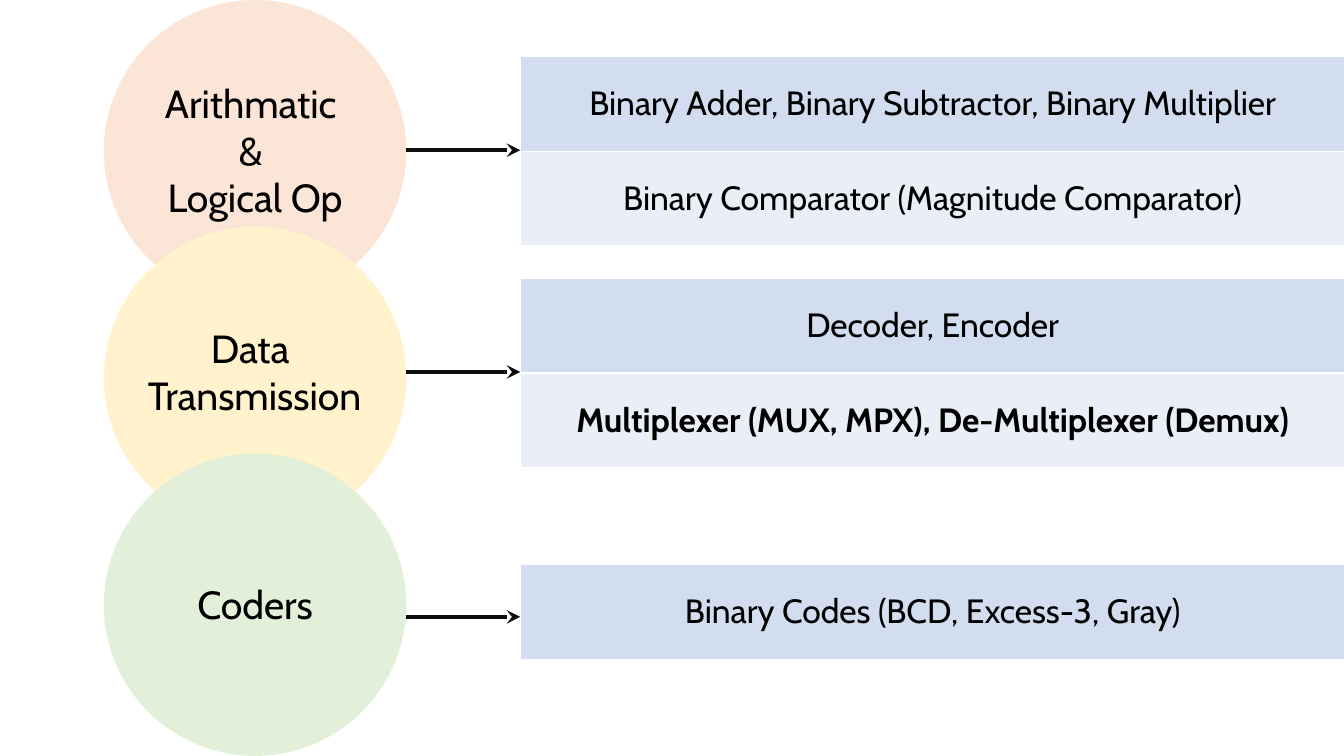
import pptx
import pptx.util
import pptx.dml.color
import pptx.enum.shapes
import pptx.enum.text
import pptx.oxml.ns
from lxml import etree

PX = 9144
FONT = "Cabin"
RGB = pptx.dml.color.RGBColor
BLACK = RGB(0x00, 0x00, 0x00)
ARROW = RGB(0x0D, 0x0D, 0x0D)
PEACH = RGB(0xFB, 0xE5, 0xD6)
CREAM = RGB(0xFF, 0xF2, 0xCC)
MINT = RGB(0xE2, 0xF0, 0xD9)
BANDS = [RGB(0xD2, 0xDE, 0xEF), RGB(0xEA, 0xEF, 0xF7)]

CIRCLE_X, DIAMETER, CIRCLE_STEP = 103, 300, 225
TABLE_X, TABLE_W, ROW_H = 516, 818, 94
MUX = "Multiplexer (MUX, MPX), De-Multiplexer (Demux)"

SECTIONS = [
    (PEACH, ["Arithmatic ", "& ", "Logical Op"], (148, 74, 210, 151), 149, 56,
     ["Binary Adder, Binary Subtractor, Binary Multiplier",
      "Binary Comparator (Magnitude Comparator)"]),
    (CREAM, ["Data ", "Transmission"], (132, 317, 241, 104), 369, 276,
     ["Decoder, Encoder", MUX]),
    (MINT, ["Coders"], (182, 571, 142, 57), 612, 560,
     ["Binary Codes (BCD, Excess-3, Gray)"]),
]


def emu(*lengths):
    return [pptx.util.Emu(n * PX) for n in lengths]


def write(p, text, size, bold=False):
    p.text = text
    p.alignment = pptx.enum.text.PP_ALIGN.CENTER
    p.font.name = FONT
    p.font.size = pptx.util.Pt(size)
    p.font.bold = bold
    p.font.color.rgb = BLACK


prs = pptx.Presentation()
prs.slide_width, prs.slide_height = emu(1333, 750)
s = prs.slides.add_slide(prs.slide_layouts[6])

for i, (color, lines, label_box, arrow_y, table_y, rows) in enumerate(SECTIONS):
    group = s.shapes.add_group_shape()
    circle = group.shapes.add_shape(
        pptx.enum.shapes.MSO_SHAPE.OVAL,
        *emu(CIRCLE_X, i * CIRCLE_STEP, DIAMETER, DIAMETER))
    circle.shadow.inherit = False
    circle.fill.solid()
    circle.fill.fore_color.rgb = color
    circle.line.fill.background()

    label = group.shapes.add_textbox(*emu(*label_box))
    label.fill.solid()
    label.fill.fore_color.rgb = color
    tf = label.text_frame
    tf.word_wrap = False
    tf.auto_size = pptx.enum.text.MSO_AUTO_SIZE.SHAPE_TO_FIT_TEXT
    for n, line in enumerate(lines):
        write(tf.add_paragraph() if n else tf.paragraphs[0], line, 28)

    arrow = s.shapes.add_connector(
        pptx.enum.shapes.MSO_CONNECTOR.STRAIGHT,
        *emu(CIRCLE_X + DIAMETER, arrow_y, TABLE_X, arrow_y))
    arrow.line.color.rgb = ARROW
    arrow.line.width = pptx.util.Pt(3.25)
    etree.SubElement(arrow.line._get_or_add_ln(),
                     pptx.oxml.ns.qn("a:tailEnd"), type="stealth")
    etree.SubElement(arrow._element.spPr, pptx.oxml.ns.qn("a:effectLst"))

    table = s.shapes.add_table(
        len(rows), 1, *emu(TABLE_X, table_y, TABLE_W, ROW_H * len(rows))).table
    table.first_row = False
    table.horz_banding = False
    for n, text in enumerate(rows):
        cell = table.cell(n, 0)
        cell.vertical_anchor = pptx.enum.text.MSO_ANCHOR.MIDDLE
        write(cell.text_frame.paragraphs[0], text, 24, text == MUX)
        tcPr = cell._tc.get_or_add_tcPr()
        for side in ("lnL", "lnR", "lnT", "lnB"):
            ln = etree.SubElement(tcPr, pptx.oxml.ns.qn("a:" + side), w="12700")
            border = etree.SubElement(ln, pptx.oxml.ns.qn("a:solidFill"))
            etree.SubElement(border, pptx.oxml.ns.qn("a:srgbClr"), val="FFFFFF")
        cell.fill.solid()
        cell.fill.fore_color.rgb = BANDS[n]

prs.save("out.pptx")
